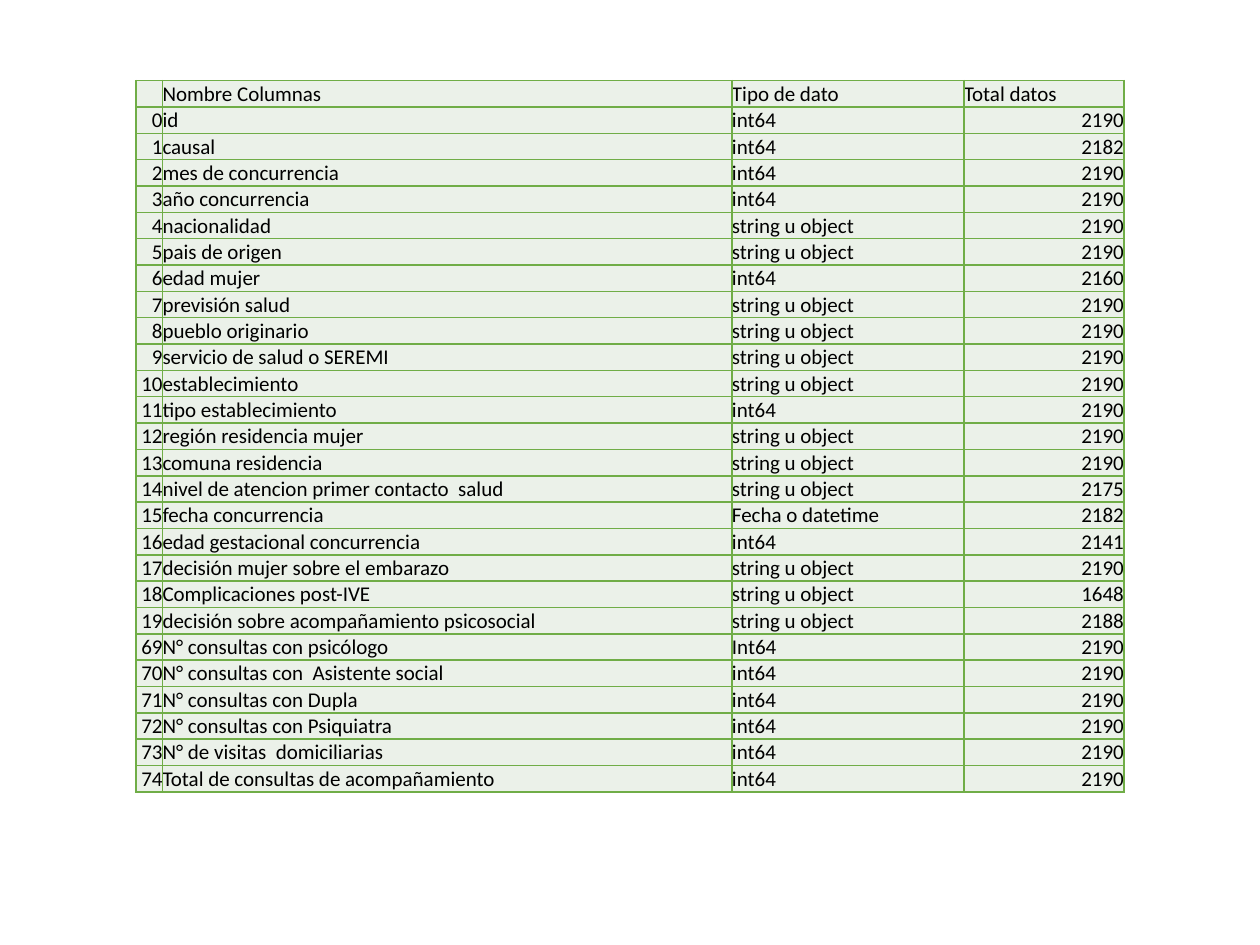
from lxml.etree import SubElement
from pptx import Presentation
from pptx.dml.color import RGBColor
from pptx.enum.text import MSO_ANCHOR, PP_ALIGN
from pptx.oxml.ns import qn
from pptx.util import Inches, Pt

COLORS = {"fill": "EBF1E9", "border": "70AD47", "text": "000000"}
FONT, FONT_SIZE, BORDER_WIDTH = "Calibri", Pt(12), Pt(1)

INT, STRING = "int64", "string u object"
HEADER = ("", "Nombre Columnas", "Tipo de dato", "Total datos")
COLUMNS = [
    (0, "id", INT, 2190),
    (1, "causal", INT, 2182),
    (2, "mes de concurrencia", INT, 2190),
    (3, "año concurrencia", INT, 2190),
    (4, "nacionalidad", STRING, 2190),
    (5, "pais de origen", STRING, 2190),
    (6, "edad mujer", INT, 2160),
    (7, "previsión salud", STRING, 2190),
    (8, "pueblo originario", STRING, 2190),
    (9, "servicio de salud o SEREMI", STRING, 2190),
    (10, "establecimiento", STRING, 2190),
    (11, "tipo establecimiento", INT, 2190),
    (12, "región residencia mujer", STRING, 2190),
    (13, "comuna residencia", STRING, 2190),
    (14, "nivel de atencion primer contacto  salud", STRING, 2175),
    (15, "fecha concurrencia", "Fecha o datetime", 2182),
    (16, "edad gestacional concurrencia", INT, 2141),
    (17, "decisión mujer sobre el embarazo", STRING, 2190),
    (18, "Complicaciones post-IVE", STRING, 1648),
    (19, "decisión sobre acompañamiento psicosocial", STRING, 2188),
    (69, "N° consultas con psicólogo", "Int64", 2190),
    (70, "N° consultas con  Asistente social", INT, 2190),
    (71, "N° consultas con Dupla", INT, 2190),
    (72, "N° consultas con Psiquiatra", INT, 2190),
    (73, "N° de visitas  domiciliarias", INT, 2190),
    (74, "Total de consultas de acompañamiento", INT, 2190),
]

LEFT, TOP, HEIGHT = Inches(1.08), Inches(0.64), Inches(5.65)
WIDTHS = [Inches(w) for w in (0.21, 4.52, 1.84, 1.27)]


def add_borders(cell):
    properties = cell._tc.get_or_add_tcPr()
    for side in ("a:lnL", "a:lnR", "a:lnT", "a:lnB"):
        line = SubElement(properties, qn(side), w=str(BORDER_WIDTH))
        fill = SubElement(line, qn("a:solidFill"))
        SubElement(fill, qn("a:srgbClr"), val=COLORS["border"])


def format_cell(cell, value):
    add_borders(cell)  # borders precede the fill in the cell properties
    cell.fill.solid()
    cell.fill.fore_color.rgb = RGBColor.from_string(COLORS["fill"])
    cell.margin_left = cell.margin_right = cell.margin_top = cell.margin_bottom = 0
    cell.vertical_anchor = MSO_ANCHOR.BOTTOM
    cell.text = str(value)

    paragraph = cell.text_frame.paragraphs[0]
    paragraph.alignment = PP_ALIGN.RIGHT if isinstance(value, int) else PP_ALIGN.LEFT
    paragraph.font.name = FONT
    paragraph.font.size = FONT_SIZE
    paragraph.font.color.rgb = RGBColor.from_string(COLORS["text"])
    if value == "":  # keeps the empty cell from stretching its row
        SubElement(paragraph._p, qn("a:endParaRPr"), sz=str(FONT_SIZE.centipoints))


def main():
    presentation = Presentation()
    presentation.slide_width, presentation.slide_height = Inches(10), Inches(7.5)
    slide = presentation.slides.add_slide(presentation.slide_layouts[6])

    # Table of data columns
    rows = [HEADER, *COLUMNS]
    table = slide.shapes.add_table(
        len(rows), len(HEADER), LEFT, TOP, sum(WIDTHS), HEIGHT
    ).table
    table.first_row = table.horz_banding = False
    for column, width in zip(table.columns, WIDTHS):
        column.width = width
    for table_row, values in zip(table.rows, rows):
        for cell, value in zip(table_row.cells, values):
            format_cell(cell, value)

    presentation.save("out.pptx")


if __name__ == "__main__":
    main()
